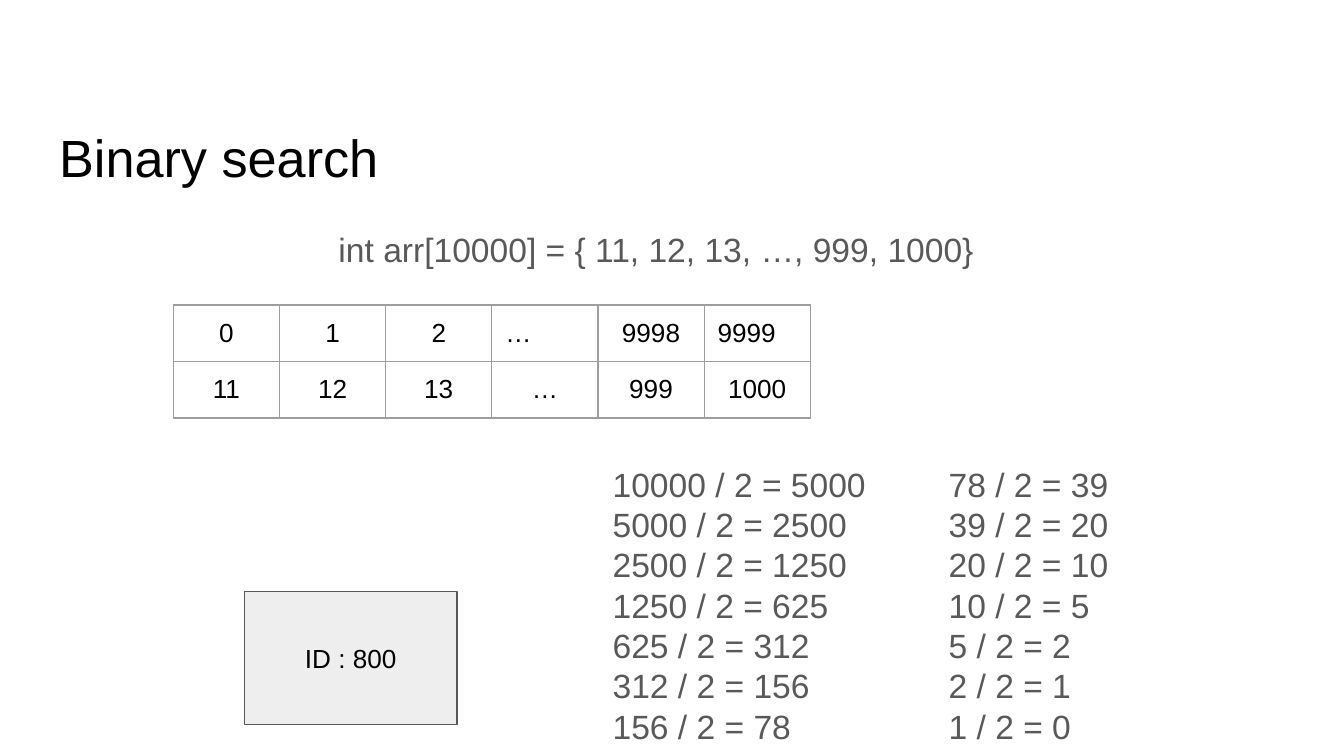
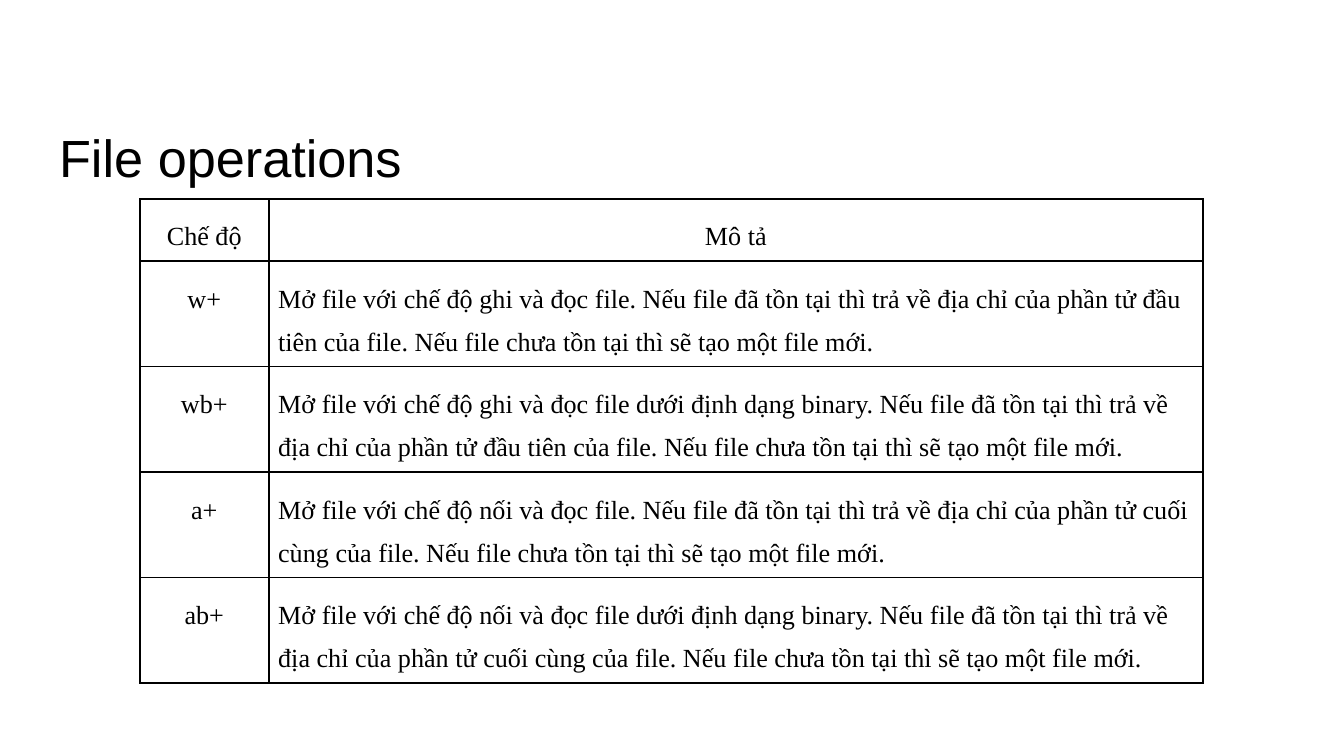
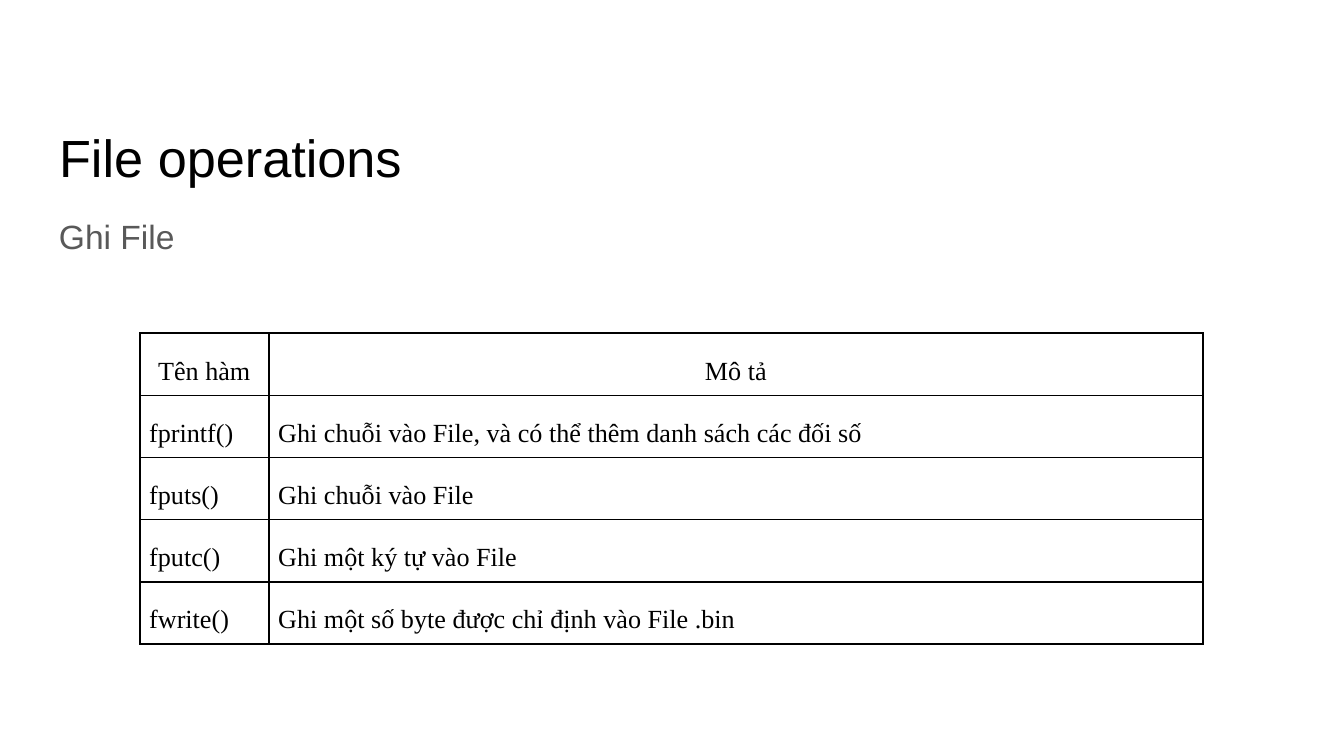
from lxml.etree import SubElement
from pptx import Presentation
from pptx.dml.color import RGBColor
from pptx.enum.shapes import MSO_SHAPE
from pptx.enum.text import MSO_ANCHOR, MSO_AUTO_SIZE, PP_ALIGN
from pptx.oxml.ns import qn
from pptx.util import Inches, Pt

BLACK, GRAY, LIGHT_GRAY, GRID_GRAY = "000000", "595959", "EEEEEE", "9E9E9E"
SANS, SERIF = "Arial", "Times New Roman"
LEFT, CENTER = PP_ALIGN.LEFT, PP_ALIGN.CENTER
TITLE_BOX = (0.34, 0.81, 9.32, 0.69)
ROW_HEIGHT = 0.42

ARRAY_TEXT = "int arr[10000] = { 11, 12, 13, …, 999, 1000}"
ARRAY_ROWS = [
    ("0", "1", "2", "…", "9998", "9999"),
    ("11", "12", "13", "…", "999", "1000"),
]
ARRAY_LEFT_CELLS = {(0, 3), (0, 5)}
HALVINGS = [
    ["10000 / 2 = 5000", "5000 / 2 = 2500", "2500 / 2 = 1250", "1250 / 2 = 625",
     "625 / 2 = 312", "312 / 2 = 156", "156 / 2 = 78"],
    ["78 / 2 = 39", "39 / 2 = 20", "20 / 2 = 10", "10 / 2 = 5",
     "5 / 2 = 2", "2 / 2 = 1", "1 / 2 = 0"],
]
MODE_ROWS = [
    ("Chế độ", "Mô tả"),
    ("w+", "Mở file với chế độ ghi và đọc file. Nếu file đã tồn tại thì trả về địa chỉ "
           "của phần tử đầu tiên của file. Nếu file chưa tồn tại thì sẽ tạo một file mới."),
    ("wb+", "Mở file với chế độ ghi và đọc file dưới định dạng binary. Nếu file đã tồn tại "
            "thì trả về địa chỉ của phần tử đầu tiên của file. Nếu file chưa tồn tại thì "
            "sẽ tạo một file mới."),
    ("a+", "Mở file với chế độ nối và đọc file. Nếu file đã tồn tại thì trả về địa chỉ "
           "của phần tử cuối cùng của file. Nếu file chưa tồn tại thì sẽ tạo một file mới."),
    ("ab+", "Mở file với chế độ nối và đọc file dưới định dạng binary. Nếu file đã tồn tại "
            "thì trả về địa chỉ của phần tử cuối cùng của file. Nếu file chưa tồn tại thì "
            "sẽ tạo một file mới."),
]
WRITE_ROWS = [
    ("Tên hàm", "Mô tả"),
    ("fprintf()", "Ghi chuỗi vào File, và có thể thêm danh sách các đối số"),
    ("fputs()", "Ghi chuỗi vào File"),
    ("fputc()", "Ghi một ký tự vào File"),
    ("fwrite()", "Ghi một số byte được chỉ định vào File .bin"),
]


def rgb(color):
    return RGBColor.from_string(color)


def set_margins(target, margin):
    """Give a text frame or a table cell the same margin on all sides."""
    target.margin_left = target.margin_right = Inches(margin)
    target.margin_top = target.margin_bottom = Inches(margin)


def format_text(text_frame, size, color, font=SANS, align=LEFT, spacing=1.0):
    for paragraph in text_frame.paragraphs:
        paragraph.alignment = align
        paragraph.line_spacing = spacing
        for run in paragraph.runs:
            run.font.size = Pt(size)
            run.font.name = font
            run.font.color.rgb = rgb(color)


def add_titled_slide(presentation, title_text):
    slide = presentation.slides.add_slide(presentation.slide_layouts[5])
    title = slide.shapes.title
    title.left, title.top, title.width, title.height = map(Inches, TITLE_BOX)
    text_frame = title.text_frame
    text_frame.text = title_text
    text_frame.word_wrap = True
    text_frame.auto_size = MSO_AUTO_SIZE.NONE
    text_frame.vertical_anchor = MSO_ANCHOR.BOTTOM
    set_margins(text_frame, 0.1)
    format_text(text_frame, 28, BLACK)
    return slide


def add_body_text(slide, lines, box):
    text_frame = slide.shapes.add_textbox(*map(Inches, box)).text_frame
    text_frame.text = "\n".join(lines)
    text_frame.word_wrap = True
    set_margins(text_frame, 0.1)
    format_text(text_frame, 18, GRAY)


def set_borders(cell, color, width):
    properties = cell._tc.get_or_add_tcPr()
    for position, side in enumerate(("a:lnL", "a:lnR", "a:lnT", "a:lnB")):
        line = properties.makeelement(qn(side), {"w": str(Pt(width))})
        fill = SubElement(line, qn("a:solidFill"))
        SubElement(fill, qn("a:srgbClr"), val=color)
        properties.insert(position, line)


def add_grid(slide, rows, left, top, widths, alignment, border, margin, font, spacing=1.0):
    """Draw an unfilled table; alignment maps (row, column) to a text alignment."""
    table = slide.shapes.add_table(
        len(rows), len(widths), Inches(left), Inches(top),
        Inches(sum(widths)), Inches(ROW_HEIGHT * len(rows))).table
    table.first_row = table.horz_banding = False
    for column, width in zip(table.columns, widths):
        column.width = Inches(width)
    for row_index, texts in enumerate(rows):
        table.rows[row_index].height = Inches(ROW_HEIGHT)
        for column_index, text in enumerate(texts):
            cell = table.cell(row_index, column_index)
            cell.text = text
            cell.fill.background()
            set_margins(cell, margin)
            set_borders(cell, *border)
            format_text(cell.text_frame, 14, BLACK, font,
                        alignment(row_index, column_index), spacing)


def add_description_table(slide, rows, top, center_names):
    def alignment(row, column):
        return CENTER if row == 0 or (center_names and column == 0) else LEFT

    add_grid(slide, rows, 1.04, top, (0.96, 6.95), alignment,
             (BLACK, 1), 0.07, SERIF, 1.5)


def add_id_box(slide):
    shape = slide.shapes.add_shape(
        MSO_SHAPE.RECTANGLE, Inches(1.82), Inches(4.4), Inches(1.58), Inches(0.99))
    shape.shadow.inherit = False
    shape.fill.solid()
    shape.fill.fore_color.rgb = rgb(LIGHT_GRAY)
    shape.line.color.rgb = rgb(GRAY)
    shape.line.width = Pt(0.75)
    shape.text_frame.text = "ID : 800"
    shape.text_frame.vertical_anchor = MSO_ANCHOR.MIDDLE
    set_margins(shape.text_frame, 0.1)
    format_text(shape.text_frame, 14, BLACK, align=CENTER)


def build_binary_search(presentation):
    slide = add_titled_slide(presentation, "Binary search")
    add_grid(slide, ARRAY_ROWS, 1.29, 2.27, [0.79] * 6,
             lambda row, column: LEFT if (row, column) in ARRAY_LEFT_CELLS else CENTER,
             (GRID_GRAY, 0.75), 0.1, SANS)
    add_body_text(slide, [ARRAY_TEXT], (2.42, 1.6, 5.78, 0.57))
    add_id_box(slide)
    for index, (lines, height) in enumerate(zip(HALVINGS, (2.11, 2.28))):
        add_body_text(slide, lines, (4.46 + 2.5 * index, 3.35, 2.48, height))


def build_file_modes(presentation):
    slide = add_titled_slide(presentation, "File operations")
    add_description_table(slide, MODE_ROWS, 1.48, center_names=True)


def build_file_writing(presentation):
    slide = add_titled_slide(presentation, "File operations")
    add_description_table(slide, WRITE_ROWS, 2.48, center_names=False)
    add_body_text(slide, ["Ghi File"], (0.34, 1.51, 9.19, 0.82))


def main():
    presentation = Presentation()
    presentation.slide_width = Inches(10)
    presentation.slide_height = Inches(10) * 9 // 16
    build_binary_search(presentation)
    build_file_modes(presentation)
    build_file_writing(presentation)
    presentation.save("out.pptx")


if __name__ == "__main__":
    main()
